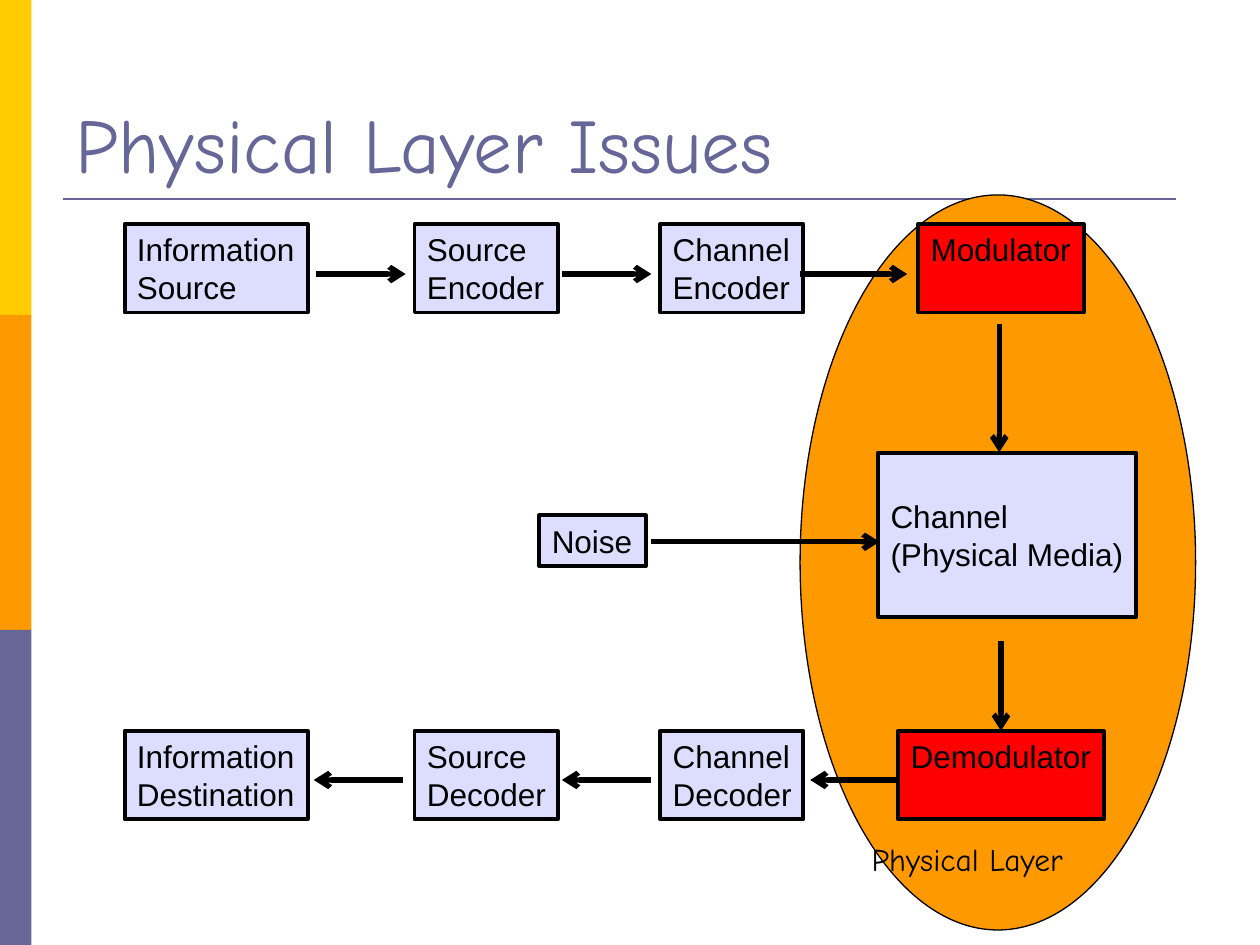
import pptx
import pptx.util
import pptx.dml.color
import pptx.enum.shapes
import pptx.enum.text
import pptx.oxml.ns
import lxml.etree

Pt = pptx.util.Pt
SHAPE = pptx.enum.shapes.MSO_SHAPE
ANCHOR = pptx.enum.text.MSO_ANCHOR
COLORS = {
    "yellow": "FFCC00",
    "orange": "FF9900",
    "violet": "666699",
    "lilac": "DDDDFF",
    "red": "FF0000",
    "black": "000000",
}


def rgb(name):
    return pptx.dml.color.RGBColor.from_string(COLORS[name])


class Diagram:
    """Holds the text style and the slide that is being filled."""

    title_font = "Comic Neue"
    box_font = "Arial"
    size = 18

    def __init__(self, s):
        self.s = s

    def set_text(self, tf, lines, font, size, color="black"):
        tf.text = "\n".join(lines)
        for p in tf.paragraphs:
            p.alignment = pptx.enum.text.PP_ALIGN.LEFT
            p.font.name = font
            p.font.size = Pt(size)
            p.font.color.rgb = rgb(color)

    def title(self, text, x, y, w, h):
        sp = self.s.shapes.title
        sp.left, sp.top, sp.width, sp.height = Pt(x), Pt(y), Pt(w), Pt(h)
        sp.text_frame.vertical_anchor = ANCHOR.BOTTOM
        self.set_text(sp.text_frame, [text], self.title_font, 44, "violet")

    def shape(self, kind, x, y, w, h, fill, line=None):
        sp = self.s.shapes.add_shape(kind, Pt(x), Pt(y), Pt(w), Pt(h))
        sp.shadow.inherit = False
        sp.fill.solid()
        sp.fill.fore_color.rgb = rgb(fill)
        if line:
            sp.line.color.rgb = rgb("black")
            sp.line.width = Pt(line)
        else:
            sp.line.fill.background()
        return sp

    def box(self, lines, x, y, w, h, fill="lilac", anchor=ANCHOR.TOP):
        sp = self.shape(SHAPE.RECTANGLE, x, y, w, h, fill, 2.25)
        tf = sp.text_frame
        tf.word_wrap = False
        tf.vertical_anchor = anchor
        self.set_text(tf, lines, self.box_font, self.size)
        return sp

    def label(self, text, x, y, w, h):
        tf = self.s.shapes.add_textbox(Pt(x), Pt(y), Pt(w), Pt(h)).text_frame
        tf.word_wrap = True
        self.set_text(tf, [text], self.title_font, self.size)

    def line(self, x1, y1, x2, y2, color, width):
        cxn = self.s.shapes.add_connector(
            pptx.enum.shapes.MSO_CONNECTOR.STRAIGHT, Pt(x1), Pt(y1), Pt(x2), Pt(y2))
        cxn.line.color.rgb = rgb(color)
        cxn.line.width = Pt(width)
        props = cxn._element.spPr
        lxml.etree.SubElement(props, pptx.oxml.ns.qn("a:effectLst"))
        return cxn

    def arrow(self, x1, y1, x2, y2):
        cxn = self.line(x1, y1, x2, y2, "black", 3)
        ln = cxn._element.spPr.find(pptx.oxml.ns.qn("a:ln"))
        lxml.etree.SubElement(ln, pptx.oxml.ns.qn("a:tailEnd"), type="arrow")
        return cxn


def main():
    prs = pptx.Presentation()
    prs.slide_width, prs.slide_height = Pt(720), Pt(540)
    d = Diagram(prs.slides.add_slide(prs.slide_layouts[5]))

    for i, color in enumerate(("yellow", "orange", "violet")):
        d.shape(SHAPE.RECTANGLE, 0, i * 180, 18, 180, color)
    d.line(36, 113.8, 672, 113.8, "violet", 1.5)
    d.title("Physical Layer Issues", 36, 21.6, 648, 90)

    d.shape(SHAPE.OVAL, 457.2, 111.4, 226, 420, "orange", 0.75)
    d.label("Physical Layer", 491, 476.5, 140, 29)

    # Sending row on top, receiving row below; the stages share columns.
    send_y, receive_y, row_h = 128, 417.6, 50.6
    columns = (
        (71.2, 104.6, ("Information", "Source"), ("Information", "Destination")),
        (236.9, 81.8, ("Source", "Encoder"), ("Source", "Decoder")),
        (377.3, 81.8, ("Channel", "Encoder"), ("Channel", "Decoder")),
    )
    for x, w, sender, receiver in columns:
        d.box(sender, x, send_y, w, row_h)
        d.box(receiver, x, receive_y, w, row_h)
    d.box(["Modulator"], 524.7, send_y, 94.6, row_h, "red")
    demodulator = d.box(["Demodulator"], 513.3, receive_y, 117.4, row_h, "red")
    d.box(["Channel", "(Physical Media)"], 501.8, 258.8, 147.6, 93.6,
          anchor=ANCHOR.MIDDLE)
    d.box(["Noise"], 308.2, 294.5, 60.8, 29)

    for x1, x2 in ((180.7, 231.8), (321.1, 372.2), (457.2, 518.4)):
        d.arrow(x1, 156.6, x2, 156.6)
    for x1, x2 in ((513.3, 463), (372.2, 321.1), (230.4, 179.3)):
        d.arrow(x1, 445.7, x2, 445.7)
    d.arrow(372.2, 309.6, 502.6, 309.6)
    d.arrow(571, 185, 571, 258.5)
    d.arrow(572, 366.5, 572, receive_y).end_connect(demodulator, 0)

    prs.save("out.pptx")


if __name__ == "__main__":
    main()
